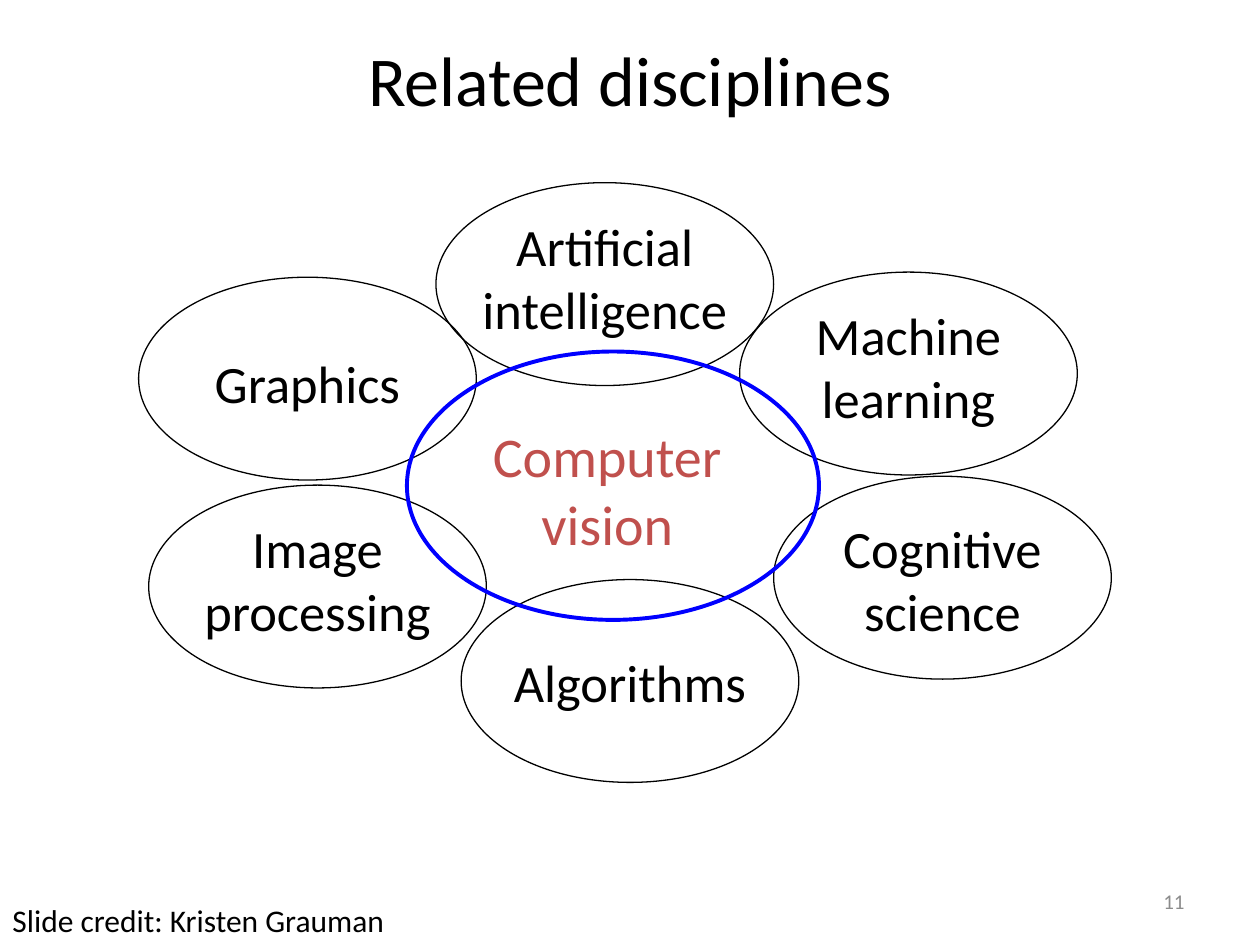
from pptx import Presentation
from pptx.dml.color import RGBColor
from pptx.enum import shapes, text
from pptx.util import Inches, Pt

HUES = {"black": "000000", "blue": "0000FF", "red": "C0504D", "gray": "8C8C8C"}
ALIGN = text.PP_ALIGN


def write(shape, words, size=30, hue="black", align=ALIGN.CENTER,
          anchor=text.MSO_ANCHOR.TOP, wrap=True):
    frame = shape.text_frame
    frame.word_wrap = wrap
    frame.vertical_anchor = anchor
    para = frame.paragraphs[0]
    para.text = words
    para.alignment = align
    para.font.name = "Calibri"
    para.font.size = Pt(size)
    para.font.color.rgb = RGBColor.from_string(HUES[hue])


def draw_oval(parent, box, hue, width):
    oval = parent.add_shape(shapes.MSO_SHAPE.OVAL, *map(Inches, box))
    oval.shadow.inherit = False
    oval.fill.background()
    oval.line.color.rgb = RGBColor.from_string(HUES[hue])
    oval.line.width = Pt(width)


deck = Presentation()
deck.slide_width, deck.slide_height = Inches(10), Inches(7.5)
slide = deck.slides.add_slide(deck.slide_layouts[5])

# Title
title = slide.shapes.title
title.left, title.top = Inches(0.75), Inches(0)
title.width, title.height = Inches(8.5), Inches(1.25)
write(title, "Related disciplines", size=40, anchor=text.MSO_ANCHOR.MIDDLE)

# Outer disciplines: name, oval left and top, label drop and height
fields = [
    ("Cognitive science", 6.14, 3.78, 0.27, 1.1),
    ("Algorithms", 3.66, 4.6, 0.51, 0.6),
    ("Image processing", 1.18, 3.85, 0.2, 1.1),
    ("Artificial intelligence", 3.46, 1.45, 0.2, 1.1),
    ("Graphics", 1.1, 2.2, 0.54, 0.6),
    ("Machine learning", 5.87, 2.16, 0.2, 1.1),
]
for name, left, top, drop, height in fields:
    group = slide.shapes.add_group_shape().shapes
    label = group.add_textbox(Inches(left + 0.2), Inches(top + drop),
                              Inches(2.28), Inches(height))
    write(label, name)
    draw_oval(group, (left, top, 2.68, 1.61), "black", 0.75)

# Central discipline
draw_oval(slide.shapes, (3.23, 2.79, 3.27, 2.13), "blue", 2.25)
center = slide.shapes.add_textbox(Inches(3.62), Inches(3.3), Inches(2.4), Inches(1.17))
write(center, "Computer vision", size=32, hue="red")

# Credit and page number
credit = slide.shapes.add_textbox(Inches(0), Inches(7.1), Inches(3.18), Inches(0.4))
write(credit, "Slide credit: Kristen Grauman", size=18, align=ALIGN.LEFT, wrap=False)
number = slide.shapes.add_textbox(Inches(7.17), Inches(6.95), Inches(2.33), Inches(0.4))
write(number, "11", size=12, hue="gray", align=ALIGN.RIGHT,
      anchor=text.MSO_ANCHOR.MIDDLE)

deck.save("out.pptx")
